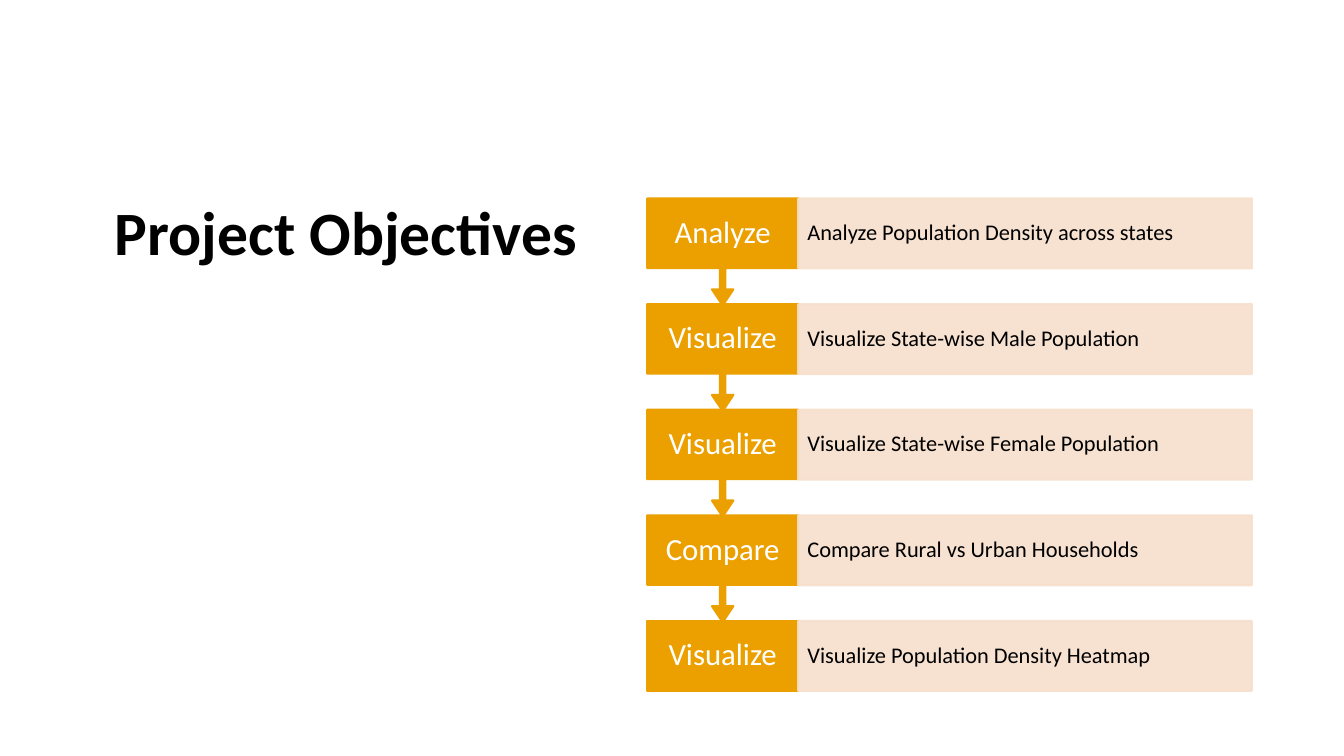
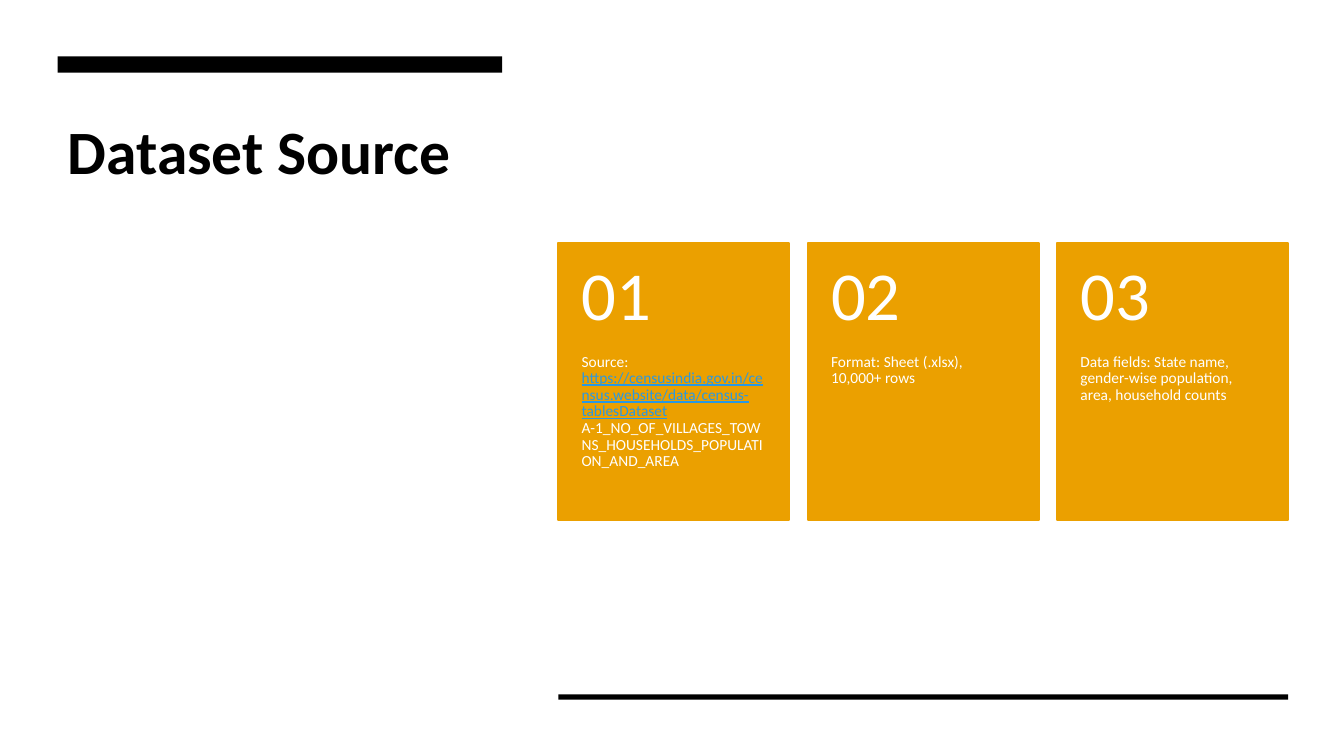
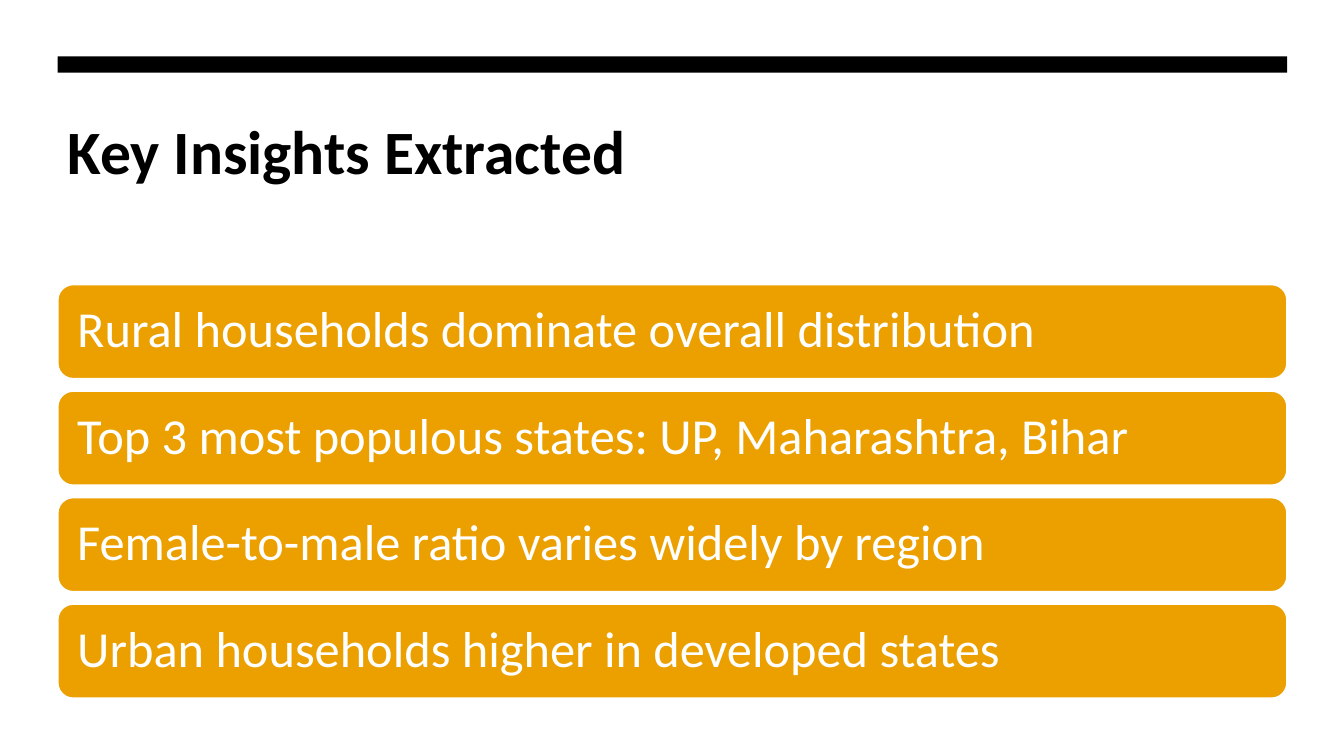
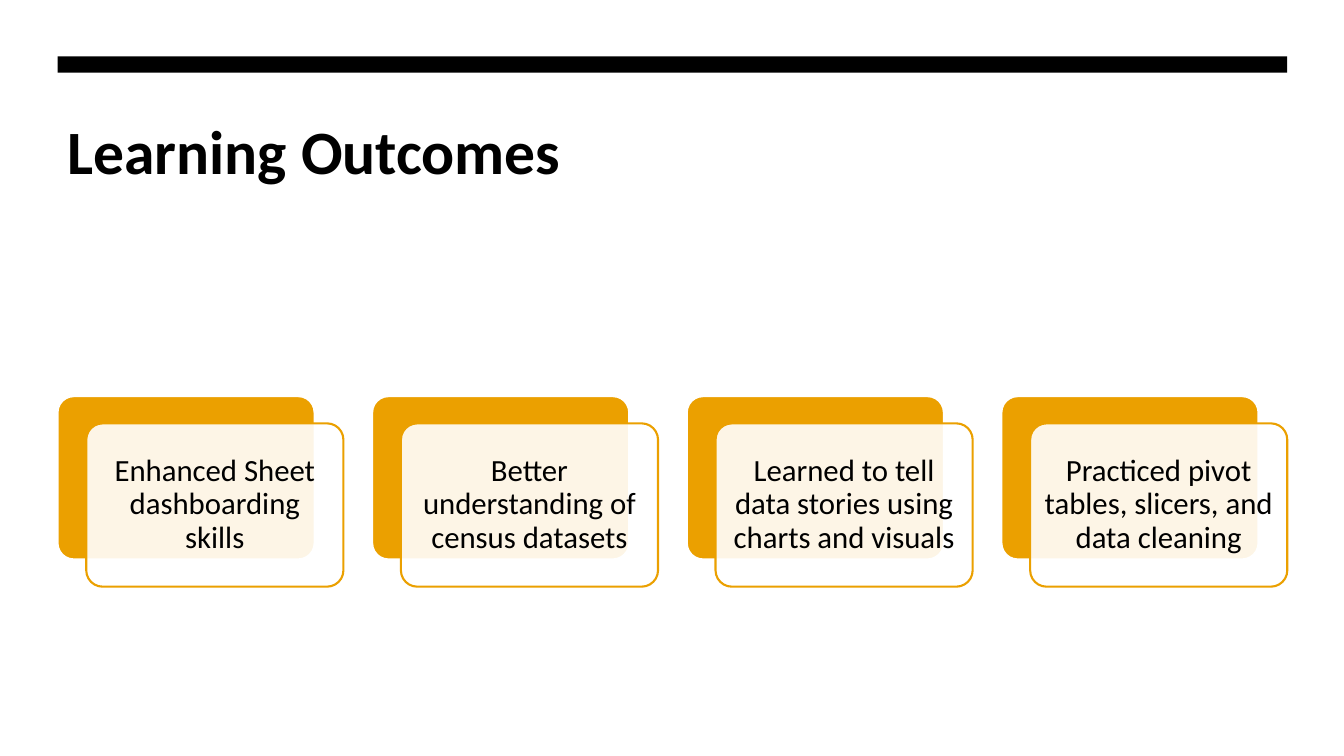
import pptx
import pptx.util
import pptx.dml.color
import pptx.enum.shapes
import pptx.enum.text
import pptx.oxml
import pptx.oxml.ns

FONT = "Calibri"
GOLD, PEACH, BLACK, WHITE, LINK = "EBA000", "F7DFCC", "000000", "FFFFFF", "2998E3"
LEFT, FULL = 4.28, 91.5
WIDE, TALL = pptx.util.Inches(13.333), pptx.util.Inches(7.5)
KIND = pptx.enum.shapes.MSO_SHAPE
ALIGN = pptx.enum.text.PP_ALIGN
ANCHOR = pptx.enum.text.MSO_ANCHOR


def share(x, y, w, h):
    return [int(part * side / 100) for part, side in zip((x, y, w, h), (WIDE, TALL) * 2)]


def spread(start, size, total, count):
    step = (total - size) / (count - 1)
    return [start + step * i for i in range(count)]


def tint(target, code, alpha=100):
    target.solid()
    target.fore_color.rgb = pptx.dml.color.RGBColor.from_string(code)
    if alpha < 100:
        color = target._xPr.find(".//" + pptx.oxml.ns.qn("a:srgbClr"))
        mark = pptx.oxml.parse_xml(
            f'<a:alpha {pptx.oxml.ns.nsdecls("a")} val="{alpha * 1000}"/>')
        color.append(mark)


def write(frame, runs, size, pads, align=ALIGN.LEFT, anchor=ANCHOR.MIDDLE, bold=False, lead=0.9):
    frame.word_wrap = True
    frame.auto_size = pptx.enum.text.MSO_AUTO_SIZE.NONE
    frame.vertical_anchor = anchor
    for side, pad in zip(("left", "top", "right", "bottom"), pads):
        setattr(frame, "margin_" + side, pptx.util.Inches(pad))
    para = frame.paragraphs[0]
    para.alignment = align
    para.line_spacing = lead
    for text, code in runs:
        run = para.add_run()
        run.text = text
        run.font.name = FONT
        run.font.size = pptx.util.Pt(size)
        run.font.bold = bold
        run.font.underline = code == LINK
        tint(run.font.fill, code)


def block(slide, kind, area, fill, line=None, alpha=100, edge=100, bends=()):
    shape = slide.shapes.add_shape(kind, *share(*area))
    shape.shadow.inherit = False
    tint(shape.fill, fill, alpha)
    if line:
        shape.line.width = pptx.util.Pt(1.5)
        tint(shape.line.fill, line, edge)
    else:
        shape.line.fill.background()
    for i, bend in enumerate(bends):
        shape.adjustments[i] = bend
    return shape


def start(deck, title, area):
    slide = deck.slides.add_slide(deck.slide_layouts[5])
    head = slide.shapes.title
    head.left, head.top, head.width, head.height = share(*area)
    write(head.text_frame, [(title, BLACK)], 44, (0.1, 0.05, 0.1, 0.05),
          anchor=ANCHOR.TOP, bold=True, lead=1.0)
    return slide


def banded(deck, title, width=FULL, height=21.33):
    slide = start(deck, title, (LEFT, 14.27, width, height))
    block(slide, KIND.RECTANGLE, (LEFT, 7.47, width, 2.13), BLACK)
    return slide


def goals(deck):
    slide = start(deck, "Project Objectives", (7.8, 24.93, 36, 43.47))
    steps = [
        ("Analyze", "Analyze Population Density across states"),
        ("Visualize", "Visualize State-wise Male Population"),
        ("Visualize", "Visualize State-wise Female Population"),
        ("Compare", "Compare Rural vs Urban Households"),
        ("Visualize", "Visualize Population Density Heatmap"),
    ]
    high = 9.25
    rows = spread(26.27, high, 65.12, len(steps))
    for i, (y, (verb, detail)) in enumerate(zip(rows, steps)):
        if i < len(steps) - 1:
            kind, deep, bends = KIND.DOWN_ARROW_CALLOUT, 14.13, (0.05, 0.1, 0.15, 0.65)
        else:
            kind, deep, bends = KIND.RECTANGLE, high, ()
        label = block(slide, kind, (48.15, y, 11.25, deep), GOLD, GOLD, bends=bends)
        write(label.text_frame, [(verb, WHITE)], 22, (0.11, 0.05, 0.11, 0.05), ALIGN.CENTER)
        panel = block(slide, KIND.RECTANGLE, (59.4, y, 33.75, high), PEACH, PEACH, 90, 90)
        write(panel.text_frame, [(detail, BLACK)], 16, (0.09, 0.2, 0.09, 0.2))


def source(deck):
    slide = banded(deck, "Dataset Source", 33.08, 49.07)
    x, span, wide, top = 41.55, 54.3, 17.18, 32.13
    block(slide, KIND.RECTANGLE, (x, 91.87, span, 0.67), BLACK)
    cards = [
        [("Source: ", WHITE),
         ("https://censusindia.gov.in/census.website/data/census-tablesDataset", LINK),
         (" A-1_NO_OF_VILLAGES_TOWNS_HOUSEHOLDS_POPULATION_AND_AREA", WHITE)],
        [("Format: Sheet (.xlsx), 10,000+ rows", WHITE)],
        [("Data fields: State name, gender-wise population, area, household counts", WHITE)],
    ]
    cols = spread(x, wide, span, len(cards))
    for i, (col, runs) in enumerate(zip(cols, cards), 1):
        card = block(slide, KIND.RECTANGLE, (col, top, wide, 36.67), GOLD, GOLD)
        write(card.text_frame, runs, 11, (0.23, 1.1, 0.23, 0.36), anchor=ANCHOR.TOP)
        count = slide.shapes.add_textbox(*share(col, top, wide, 14.67))
        write(count.text_frame, [(f"{i:02}", WHITE)], 49, (0.23, 0.18, 0.23, 0.18))


def facts(deck):
    slide = banded(deck, "Key Insights Extracted")
    lines = [
        "Rural households dominate overall distribution",
        "Top 3 most populous states: UP, Maharashtra, Bihar",
        "Female-to-male ratio varies widely by region",
        "Urban households higher in developed states",
    ]
    high = 12.53
    for y, text in zip(spread(37.6, high, 54.8, len(lines)), lines):
        bar = block(slide, KIND.ROUNDED_RECTANGLE, (LEFT, y, FULL, high), GOLD, WHITE)
        write(bar.text_frame, [(text, WHITE)], 36, (0.15,) * 4)


def skills(deck):
    slide = banded(deck, "Learning Outcomes")
    gains = [
        "Enhanced Sheet dashboarding skills",
        "Better understanding of census datasets",
        "Learned to tell data stories using charts and visuals",
        "Practiced pivot tables, slicers, and data cleaning",
    ]
    wide, high, top = 19.13, 21.6, 52.4
    right, down = 2.14, 3.6
    for x, text in zip(spread(LEFT, wide, FULL - right, len(gains)), gains):
        block(slide, KIND.ROUNDED_RECTANGLE, (x, top, wide, high), GOLD, WHITE, bends=(0.1,))
        front = block(slide, KIND.ROUNDED_RECTANGLE, (x + right, top + down, wide, high),
                      WHITE, GOLD, 90, bends=(0.1,))
        write(front.text_frame, [(text, BLACK)], 22, (0.09,) * 4, ALIGN.CENTER)


def main():
    deck = pptx.Presentation()
    deck.slide_width, deck.slide_height = WIDE, TALL
    for build in (goals, source, facts, skills):
        build(deck)
    deck.save("out.pptx")


if __name__ == "__main__":
    main()
